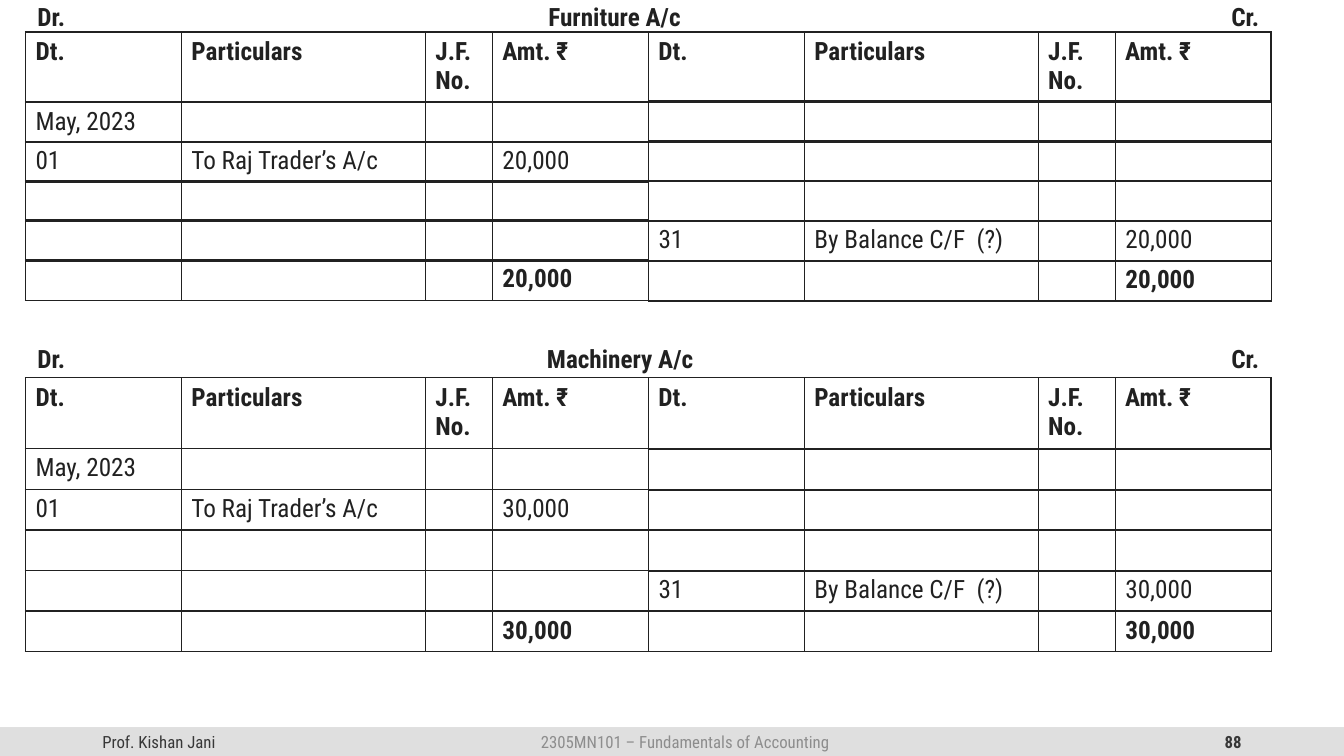
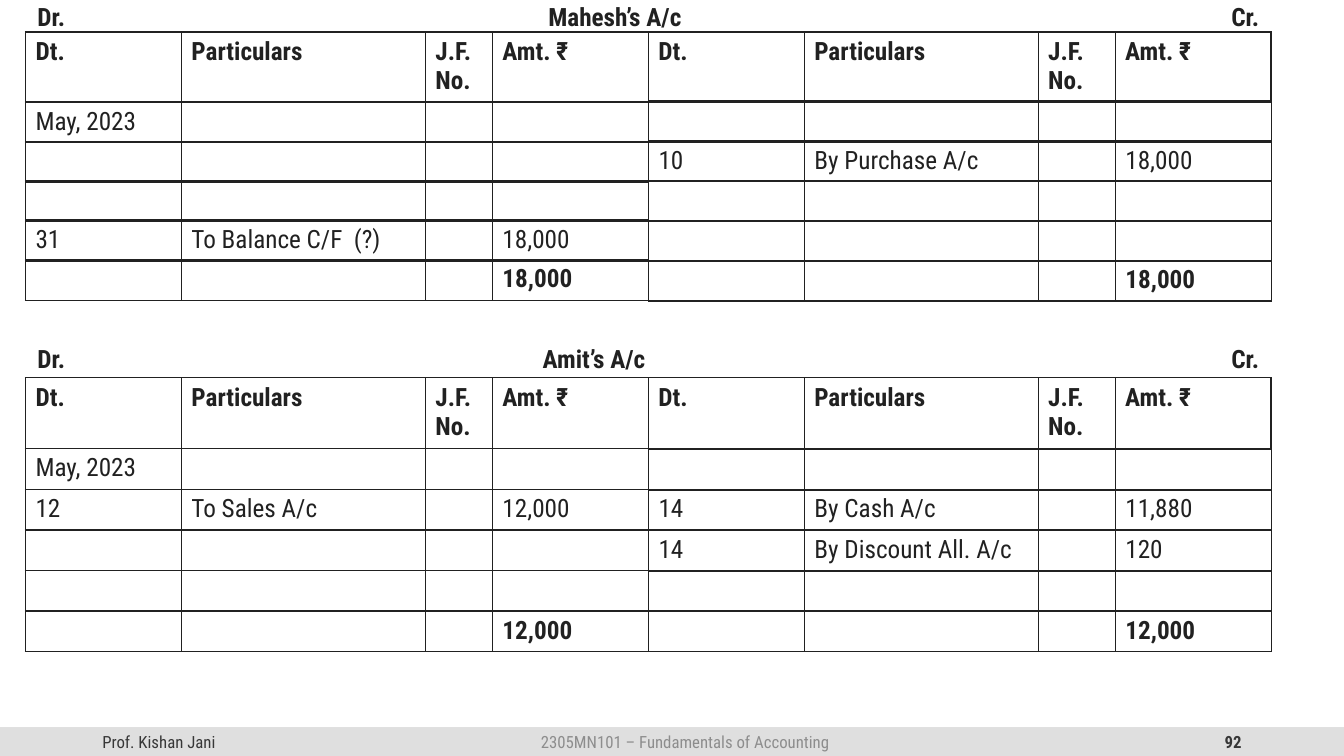
from collections import namedtuple

from lxml.etree import SubElement
from pptx import Presentation
from pptx.dml.color import RGBColor
from pptx.enum.shapes import MSO_CONNECTOR as Connector, MSO_SHAPE as Preset
from pptx.enum.text import MSO_ANCHOR as Anchor, PP_ALIGN as Align
from pptx.oxml.ns import qn
from pptx.util import Pt

INK = RGBColor(0x21, 0x21, 0x21)
WHITE = RGBColor(0xFF, 0xFF, 0xFF)
FOOTER_INK = RGBColor(0x37, 0x37, 0x37)
FOOTER_MUTED = RGBColor(0x8D, 0x8D, 0x8D)
FOOTER_BAND = RGBColor(0xDF, 0xDF, 0xDF)
FOOTER_RULE = RGBColor(0xBF, 0xBF, 0xBF)
FONT = "Roboto Condensed"
BODY_SIZE = 18
FOOTER_SIZE = 12

Box = namedtuple("Box", "left top width height")
Account = namedtuple("Account", "name name_tab debit credit total")
Ledger = namedtuple("Ledger", "caption header debit_top debit_step credit_top credit_step")

SLIDE = Box(0, 0, 960, 540)
FOOTER = Box(0, 520, 960, 20)
BADGE = Box(816, 471, 129.6, 39.6)
LEDGERS = [
    Ledger(Box(18.2, -2.6, 890, 29), Box(18.2, 22.8, 890, 50),
           72.6, 28.2, 72.2, 28.4),
    Ledger(Box(18.2, 242, 890, 29), Box(18.2, 269.8, 890, 50),
           320.4, 29, 320.8, 28.9),
]

HEADINGS = ["Dt.", "Particulars", "J.F.\nNo.", "Amt. ₹"] * 2
DEBIT_WIDTHS = [111.4, 174.3, 47.9, 111.4]
CREDIT_WIDTHS = [111.4, 167.1, 55, 111.4]
ROW_HEIGHT = 29.2
ENTRY_COUNT = 5
TOTAL_ROW = ENTRY_COUNT - 1
CAPTION_INDENT = 1.4
CREDIT_TAB = 872.8

PAGES = {
    "88": [
        Account("Furniture A/c", 365, {1: ("01", "To Raj Trader’s A/c", "20,000")},
                {3: ("31", "By Balance C/F  (?)", "20,000")}, "20,000"),
        Account("Machinery A/c", 364, {1: ("01", "To Raj Trader’s A/c", "30,000")},
                {3: ("31", "By Balance C/F  (?)", "30,000")}, "30,000"),
    ],
    "92": [
        Account("Mahesh’s A/c", 365, {3: ("31", "To Balance C/F  (?)", "18,000")},
                {1: ("10", "By Purchase A/c", "18,000")}, "18,000"),
        Account("Amit’s A/c", 361, {1: ("12", "To Sales A/c", "12,000")},
                {1: ("14", "By Cash A/c", "11,880"),
                 2: ("14", "By Discount All. A/c", "120")}, "12,000"),
    ],
}


def points(box):
    return [Pt(length) for length in box]


def add_run(paragraph, text, size=BODY_SIZE, color=INK, bold=False):
    run = paragraph.add_run()
    run.text = text
    run.font.name = FONT
    run.font.size = Pt(size)
    run.font.bold = bold
    run.font.color.rgb = color


def add_text_box(slide, box, anchor=Anchor.TOP):
    frame = slide.shapes.add_textbox(*points(box)).text_frame
    frame.word_wrap = True
    frame.vertical_anchor = anchor
    return frame.paragraphs[0]


def add_panel(slide, box, color):
    panel = slide.shapes.add_shape(Preset.RECTANGLE, *points(box))
    panel.shadow.inherit = False
    panel.fill.solid()
    panel.fill.fore_color.rgb = color
    panel.line.fill.background()
    return panel


def set_opacity(shape, percent):
    color = next(shape._element.spPr.iter(qn("a:srgbClr")))
    SubElement(color, qn("a:alpha"), val=str(percent * 1000))


def add_footer(slide, box, page_number):
    rule = slide.shapes.add_connector(
        Connector.STRAIGHT, Pt(box.left), Pt(box.top),
        Pt(box.left + box.width), Pt(box.top))
    rule.line.color.rgb = FOOTER_RULE
    rule.line.width = Pt(1)
    set_opacity(rule, 70)
    SubElement(rule._element.spPr, qn("a:effectLst"))

    set_opacity(add_panel(slide, BADGE, WHITE), 60)
    add_panel(slide, box, FOOTER_BAND)

    parts = [
        (66, 216, Align.LEFT, "Prof. Kishan Jani", FOOTER_INK, False),
        (678, 216, Align.RIGHT, page_number, FOOTER_INK, True),
        (301, 377, Align.CENTER, "2305MN101 – Fundamentals of Accounting",
         FOOTER_MUTED, False),
    ]
    for offset, width, alignment, text, color, bold in parts:
        part_box = Box(box.left + offset, box.top, width, box.height)
        paragraph = add_text_box(slide, part_box, Anchor.MIDDLE)
        paragraph.alignment = alignment
        add_run(paragraph, text, FOOTER_SIZE, color, bold)


def add_caption(slide, box, account):
    paragraph = add_text_box(slide, box)
    paragraph.alignment = Align.LEFT
    properties = paragraph._p.get_or_add_pPr()
    properties.set("marL", str(Pt(CAPTION_INDENT)))
    tabs = SubElement(properties, qn("a:tabLst"))
    for position, alignment in ((account.name_tab, "l"), (CREDIT_TAB, "r")):
        SubElement(tabs, qn("a:tab"), pos=str(Pt(position)), algn=alignment)
    add_run(paragraph, f"Dr.\t{account.name}\tCr.", bold=True)


def add_borders(cell):
    properties = cell._tc.get_or_add_tcPr()
    for index, side in enumerate(("a:lnL", "a:lnR", "a:lnT", "a:lnB")):
        line = SubElement(properties, qn(side), w=str(Pt(1)))
        fill = SubElement(line, qn("a:solidFill"))
        SubElement(fill, qn("a:srgbClr"), val=str(INK))
        properties.insert(index, line)


def fill_cell(cell, text, bold):
    cell.fill.background()
    add_borders(cell)
    if not text:
        return
    frame = cell.text_frame
    for index, line in enumerate(text.split("\n")):
        paragraph = frame.add_paragraph() if index else frame.paragraphs[0]
        add_run(paragraph, line, bold=bold)


def add_strip(slide, box, widths, texts, bold=False):
    table = slide.shapes.add_table(1, len(widths), *points(box)).table
    table.first_row = False
    table.horz_banding = False
    table.rows[0].height = Pt(box.height)
    for column, width in zip(table.columns, widths):
        column.width = Pt(width)
    for cell, text in zip(table.rows[0].cells, texts):
        fill_cell(cell, text, bold)


def add_side(slide, box, step, widths, entries, total):
    for row in range(ENTRY_COUNT):
        is_total = row == TOTAL_ROW
        date, particulars, amount = entries.get(row, ("", "", ""))
        texts = [date, particulars, "", total if is_total else amount]
        strip_box = box._replace(top=box.top + row * step)
        add_strip(slide, strip_box, widths, texts, is_total)


def add_ledger(slide, ledger, account):
    header = ledger.header
    add_strip(slide, header, DEBIT_WIDTHS + CREDIT_WIDTHS, HEADINGS, bold=True)
    add_caption(slide, ledger.caption, account)

    debit_width = sum(DEBIT_WIDTHS)
    debit_box = Box(header.left, ledger.debit_top, debit_width, ROW_HEIGHT)
    debit = {0: ("May, 2023", "", ""), **account.debit}
    add_side(slide, debit_box, ledger.debit_step, DEBIT_WIDTHS, debit,
             account.total)

    credit_box = Box(header.left + debit_width, ledger.credit_top,
                     sum(CREDIT_WIDTHS), ROW_HEIGHT)
    add_side(slide, credit_box, ledger.credit_step, CREDIT_WIDTHS,
             account.credit, account.total)


def add_account_slide(presentation, page_number, accounts):
    slide = presentation.slides.add_slide(presentation.slide_layouts[6])
    add_footer(slide, FOOTER, page_number)
    for ledger, account in zip(LEDGERS, accounts):
        add_ledger(slide, ledger, account)


def main():
    presentation = Presentation()
    presentation.slide_width = Pt(SLIDE.width)
    presentation.slide_height = Pt(SLIDE.height)
    for page_number, accounts in PAGES.items():
        add_account_slide(presentation, page_number, accounts)
    presentation.save("out.pptx")


if __name__ == "__main__":
    main()
